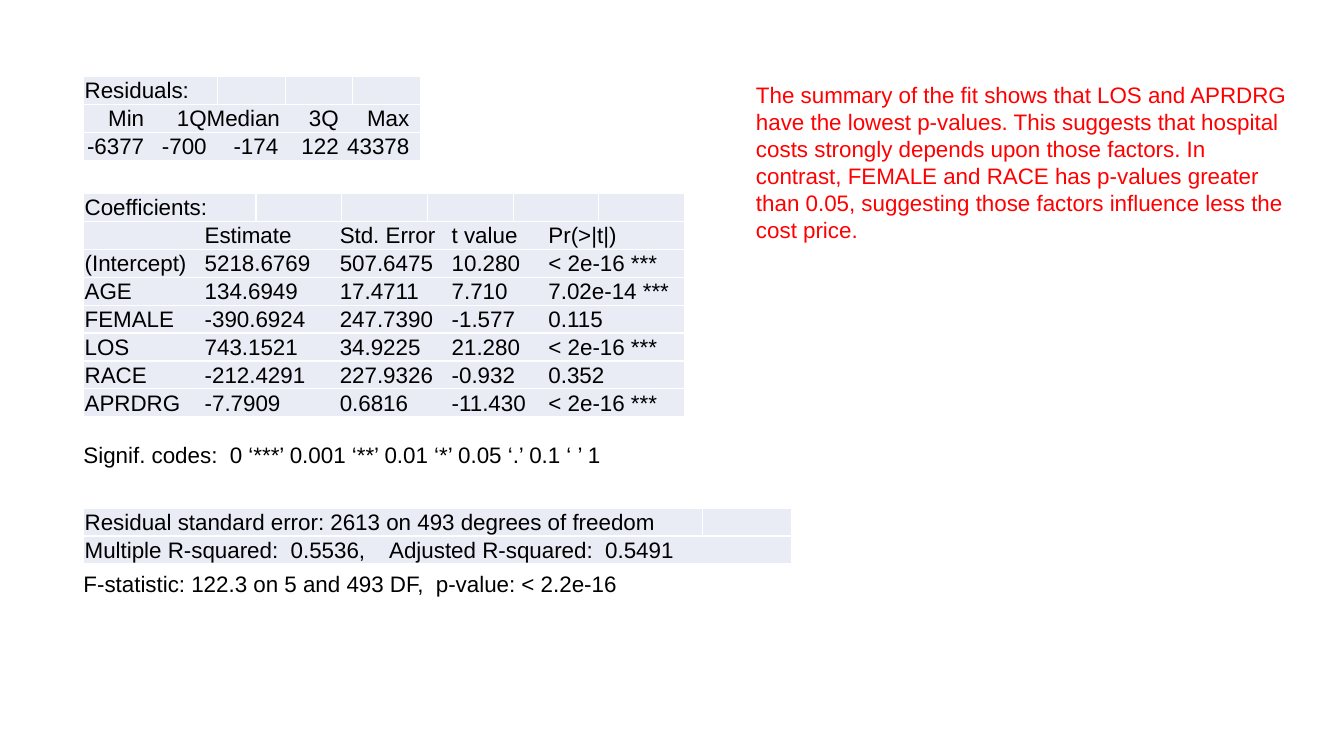
from pptx import Presentation
from pptx.dml.color import RGBColor
from pptx.enum.text import MSO_ANCHOR as Anchor, MSO_AUTO_SIZE as AutoSize
from pptx.util import Inches, Pt
from lxml.etree import SubElement
from pptx.oxml.ns import qn

BLACK = RGBColor(0x00, 0x00, 0x00)
RED = RGBColor(0xFF, 0x00, 0x00)
PALE_BLUE = RGBColor(0xE9, 0xEB, 0xF5)

LEFT_MARGIN = 0.83
ROW_HEIGHT = 0.27

RESIDUALS = [
    ["", "Min", "1Q", "Median", "3Q", "Max"],
    ["", "-6377", "-700", "-174", "122", "43378"],
]
COEFFICIENTS = [
    ["", "Estimate", "Std. Error", "t value", "Pr(>|t|)"],
    ["(Intercept)", "5218.6769", "507.6475", "10.280", "< 2e-16 ***"],
    ["AGE", "134.6949", "17.4711", "7.710", "7.02e-14 ***"],
    ["FEMALE", "-390.6924", "247.7390", "-1.577", "0.115"],
    ["LOS", "743.1521", "34.9225", "21.280", "< 2e-16 ***"],
    ["RACE", "-212.4291", "227.9326", "-0.932", "0.352"],
    ["APRDRG", "-7.7909", "0.6816", "-11.430", "< 2e-16 ***"],
]
FIT_QUALITY = [["Multiple R-squared:  0.5536,", "Adjusted R-squared:  0.5491"]]


class SummarySlide:
    font_name = "Arial"
    font_size = Pt(16)

    def __init__(self, slide):
        self.slide = slide

    def fill_paragraph(self, paragraph, text, color=BLACK):
        paragraph.text = text
        font = paragraph.font
        font.name = self.font_name
        font.size = self.font_size
        font.color.rgb = color

    def text(self, text, left, top, width, height, color=BLACK):
        box = self.slide.shapes.add_textbox(
            Inches(left), Inches(top), Inches(width), Inches(height))
        frame = box.text_frame
        frame.word_wrap = True
        frame.auto_size = AutoSize.SHAPE_TO_FIT_TEXT
        self.fill_paragraph(frame.paragraphs[0], text, color)

    def tab_stops(self, paragraph, positions, alignment):
        properties = paragraph._p.get_or_add_pPr()
        tab_list = SubElement(properties, qn("a:tabLst"))
        properties.insert(0, tab_list)
        for position in positions:
            SubElement(tab_list, qn("a:tab"),
                       pos=str(Inches(position)), algn=alignment)

    def table(self, heading, lines, top, widths, stops, alignment="l"):
        row_count = len(lines) + 1
        table = self.slide.shapes.add_table(
            row_count, len(widths), Inches(LEFT_MARGIN), Inches(top),
            Inches(sum(widths)), Inches(ROW_HEIGHT * row_count)).table
        table.first_row = False
        table.horz_banding = False
        for column, width in zip(table.columns, widths):
            column.width = Inches(width)
        for row in table.rows:
            row.height = Inches(ROW_HEIGHT)
        for cell in table.iter_cells():
            cell.fill.solid()
            cell.fill.fore_color.rgb = PALE_BLUE
            cell.vertical_anchor = Anchor.MIDDLE
            cell.margin_left = cell.margin_right = Inches(0.01)
            cell.margin_top, cell.margin_bottom = Inches(0.01), 0
            self.fill_paragraph(cell.text_frame.paragraphs[0], "")
        self.fill_paragraph(table.cell(0, 0).text_frame.paragraphs[0], heading)
        for index, line in enumerate(lines, start=1):
            cell = table.cell(index, 0)
            cell.merge(table.cell(index, len(widths) - 1))
            paragraph = cell.text_frame.paragraphs[0]
            self.fill_paragraph(paragraph, "\t".join(line))
            self.tab_stops(paragraph, stops, alignment)


presentation = Presentation()
presentation.slide_width = Inches(13.33)
presentation.slide_height = Inches(7.5)
blank_layout = presentation.slide_layouts[6]
summary = SummarySlide(presentation.slides.add_slide(blank_layout))

summary.text(
    "The summary of the fit shows that LOS and APRDRG have the lowest p-values. "
    "This suggests that hospital costs strongly depends upon those factors. "
    "In contrast, FEMALE and RACE has p-values greater than 0.05, "
    "suggesting those factors influence less the cost price.",
    7.4, 0.76, 5.5, 1.72, RED)
summary.table("Residuals:", RESIDUALS, 0.76, [1.33] + [0.67] * 3,
              [0.59, 1.21, 1.92, 2.52, 3.22], "r")
summary.table("Coefficients:", COEFFICIENTS, 1.92, [1.71] + [0.85] * 5,
              [1.19, 2.53, 3.64, 4.6])
summary.text("Signif. codes:  0 ‘***’ 0.001 ‘**’ 0.01 ‘*’ 0.05 ‘.’ 0.1 ‘ ’ 1",
             0.73, 4.33, 6.67, 0.37)
summary.table("Residual standard error: 2613 on 493 degrees of freedom",
              FIT_QUALITY, 5.04, [6.14, 0.88], [3.02])
summary.text("F-statistic: 122.3 on 5 and 493 DF,  p-value: < 2.2e-16",
             0.73, 5.61, 6.67, 0.37)

presentation.save("out.pptx")
